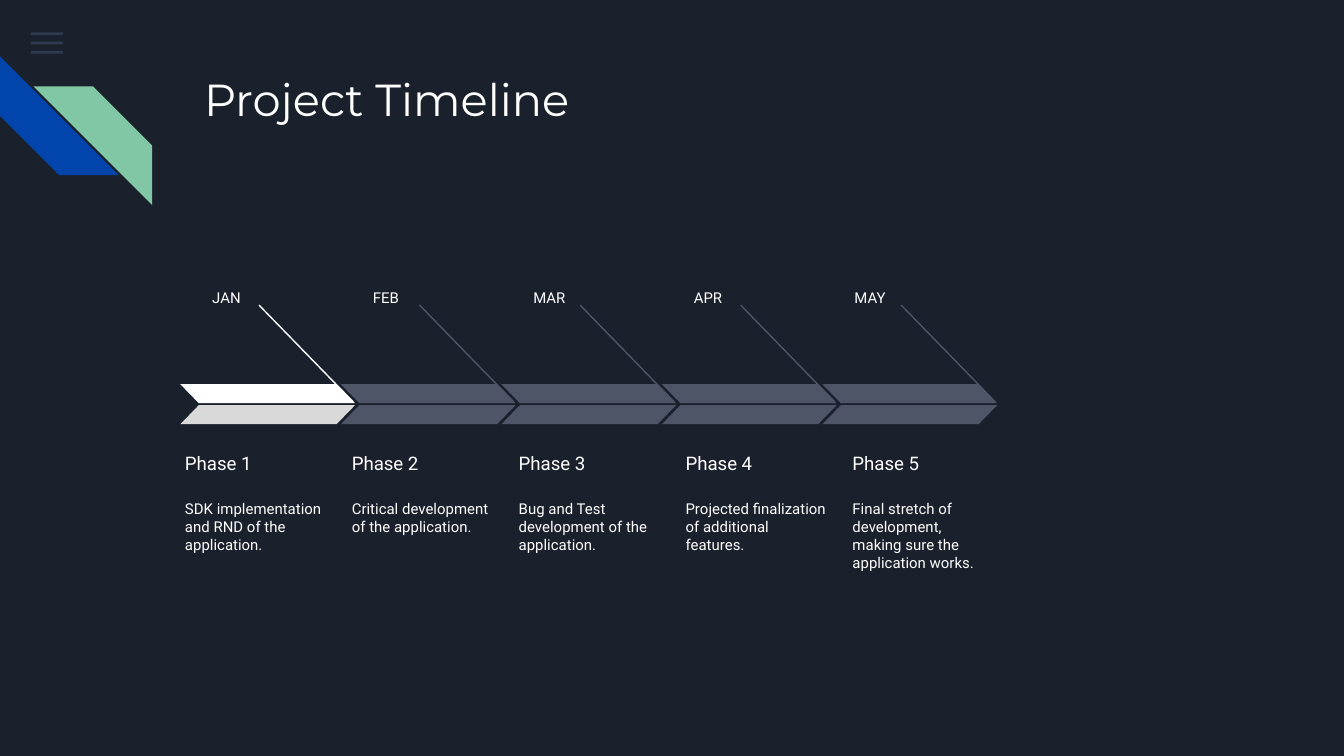
from lxml.etree import SubElement
from pptx import Presentation
from pptx.dml.color import RGBColor
from pptx.enum.shapes import MSO_CONNECTOR, MSO_SHAPE
from pptx.enum.text import MSO_ANCHOR
from pptx.oxml.ns import qn
from pptx.util import Pt

NIGHT = RGBColor(0x1B, 0x21, 0x2C)
WHITE = RGBColor(0xFF, 0xFF, 0xFF)
SILVER = RGBColor(0xD9, 0xD9, 0xD9)
SLATE = RGBColor(0x4E, 0x55, 0x67)
STEEL = RGBColor(0x55, 0x68, 0x8B)
BLUE = RGBColor(0x01, 0x45, 0xAC)
GREEN = RGBColor(0x82, 0xC7, 0xA5)

TITLE = "Project Timeline"
PHASES = [
    ("JAN", "Phase 1", "SDK implementation and RND of the application."),
    ("FEB", "Phase 2", "Critical development of the application."),
    ("MAR", "Phase 3", "Bug and Test development of the application."),
    ("APR", "Phase 4", "Projected finalization of additional features."),
    ("MAY", "Phase 5", "Final stretch of development, making sure the application works."),
]

ARROW_LEFT, ARROW_PITCH = 96.6, 86
TEXT_LEFT, TEXT_PITCH, TEXT_WIDTH = 92, 89.4, 90


def add_text(slide, text, left, top, width, height, size=8, font="Roboto",
             anchor=MSO_ANCHOR.TOP, space_after=0):
    box = slide.shapes.add_textbox(Pt(left), Pt(top), Pt(width), Pt(height))
    frame = box.text_frame
    frame.word_wrap = True
    frame.vertical_anchor = anchor
    frame.margin_left = frame.margin_right = Pt(7.2)
    frame.margin_top = frame.margin_bottom = Pt(7.2)
    para = frame.paragraphs[0]
    para.space_after = Pt(space_after)
    span = para.add_run()
    span.text = text
    span.font.size = Pt(size)
    span.font.name = font
    span.font.color.rgb = WHITE


def add_block(slide, preset, left, top, width, height, color, flip=False, adjust=None):
    shape = slide.shapes.add_shape(preset, Pt(left), Pt(top), Pt(width), Pt(height))
    shape.shadow.inherit = False
    shape.fill.solid()
    shape.fill.fore_color.rgb = color
    shape.line.fill.background()
    if adjust is not None:
        shape.adjustments[0] = adjust
    if flip:
        shape._element.spPr.xfrm.set("flipH", "1")
    return shape


def add_line(slide, left, top, right, bottom, color):
    line = slide.shapes.add_connector(
        MSO_CONNECTOR.STRAIGHT, Pt(left), Pt(top), Pt(right), Pt(bottom))
    line.line.color.rgb = color
    line.line.width = Pt(0.75)
    SubElement(line._element.spPr, qn("a:effectLst"))


def add_decoration(slide):
    for row in range(3):
        bar = add_block(slide, MSO_SHAPE.RECTANGLE, 16.6, 17.3 + 5 * row, 17.3, 1.5, STEEL)
        color = bar._element.spPr.find(".//" + qn("a:srgbClr"))
        SubElement(color, qn("a:alpha")).set("val", "36000")
    stripe = add_block(slide, MSO_SHAPE.DIAGONAL_STRIPE, 0, 30.2, 63.6, 63.6, BLUE, adjust=0.5)
    stripe.rotation = 270
    add_block(slide, MSO_SHAPE.DIAGONAL_STRIPE, 18, 46.3, 63.6, 63.6, GREEN,
              flip=True, adjust=0.5)


def add_phase(slide, index, month, name, detail):
    arrow_left = ARROW_LEFT + index * ARROW_PITCH
    text_left = TEXT_LEFT + index * TEXT_PITCH
    upper, lower = (WHITE, SILVER) if index == 0 else (SLATE, SLATE)
    add_text(slide, month, arrow_left + 10, 149.8, 42.5, 16.6)
    add_text(slide, name, text_left, 228.3, TEXT_WIDTH, 31.7, size=10, anchor=MSO_ANCHOR.BOTTOM)
    add_text(slide, detail, text_left, 260.6, TEXT_WIDTH, 52.6, space_after=16)
    add_line(slide, arrow_left + 42.2, 163.5, arrow_left + 92.6, 215.3, upper)
    for top, color, flip in ((205.8, upper, True), (217.1, lower, False)):
        add_block(slide, MSO_SHAPE.PARALLELOGRAM, arrow_left, top, 93.6, 10.2, color,
                  flip=flip, adjust=0.97)


def main():
    deck = Presentation()
    deck.slide_width, deck.slide_height = Pt(720), Pt(405)
    page = deck.slides.add_slide(deck.slide_layouts[6])
    page.background.fill.solid()
    page.background.fill.fore_color.rgb = NIGHT
    add_decoration(page)
    add_text(page, TITLE, 102.3, 31, 554.4, 72, size=24, font="Montserrat")
    for index, phase in enumerate(PHASES):
        add_phase(page, index, *phase)
    deck.save("out.pptx")


if __name__ == "__main__":
    main()
